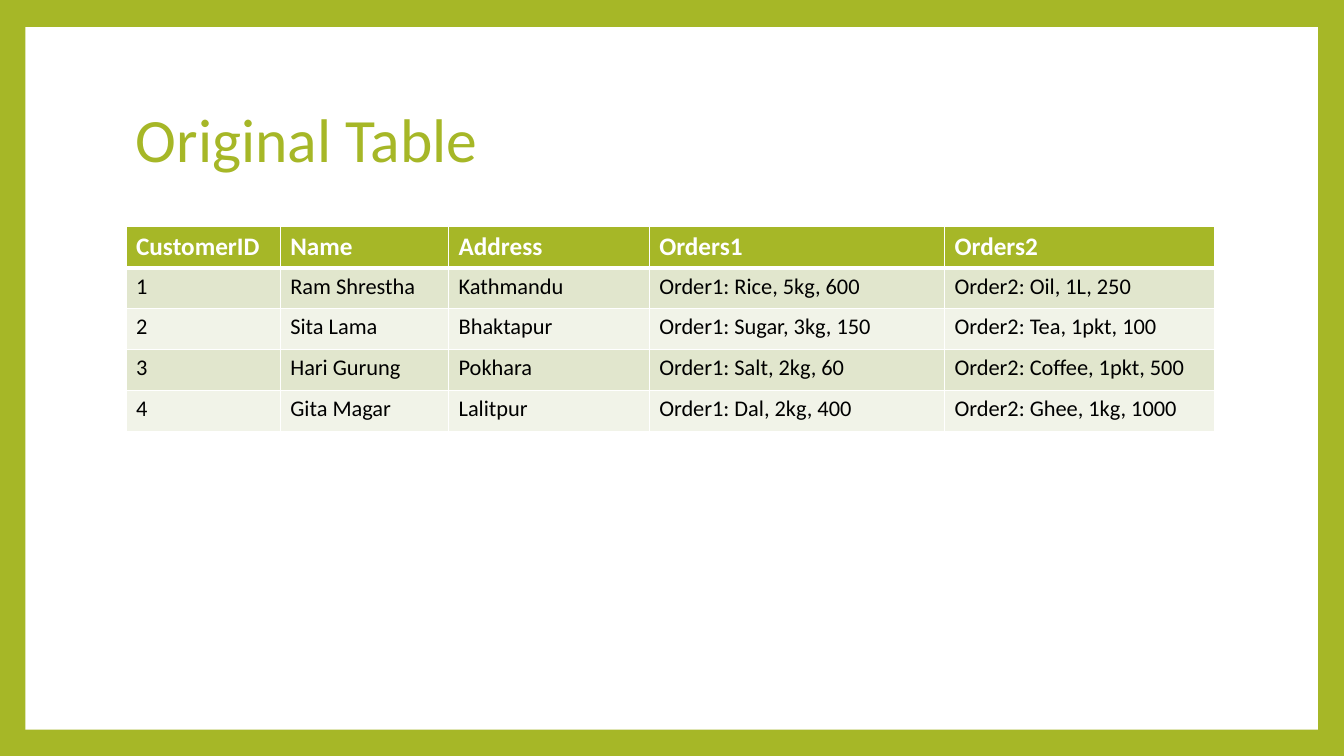
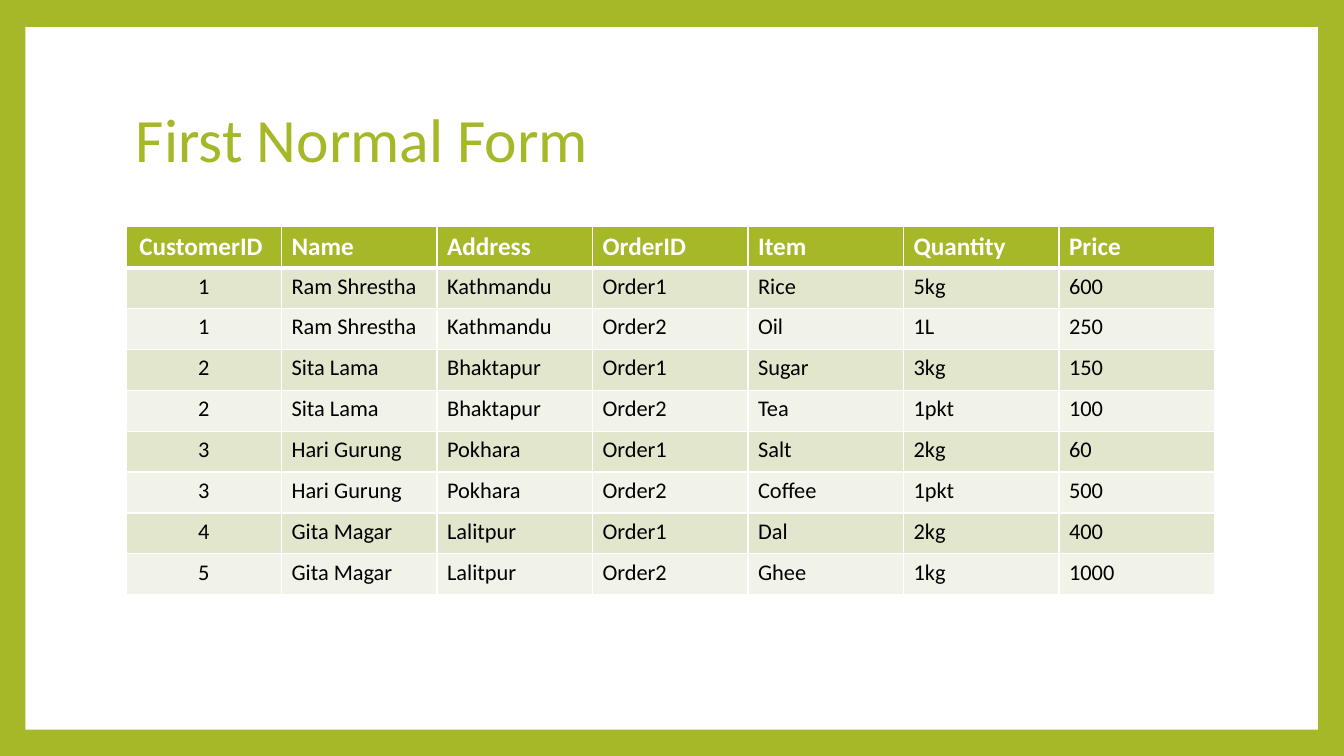
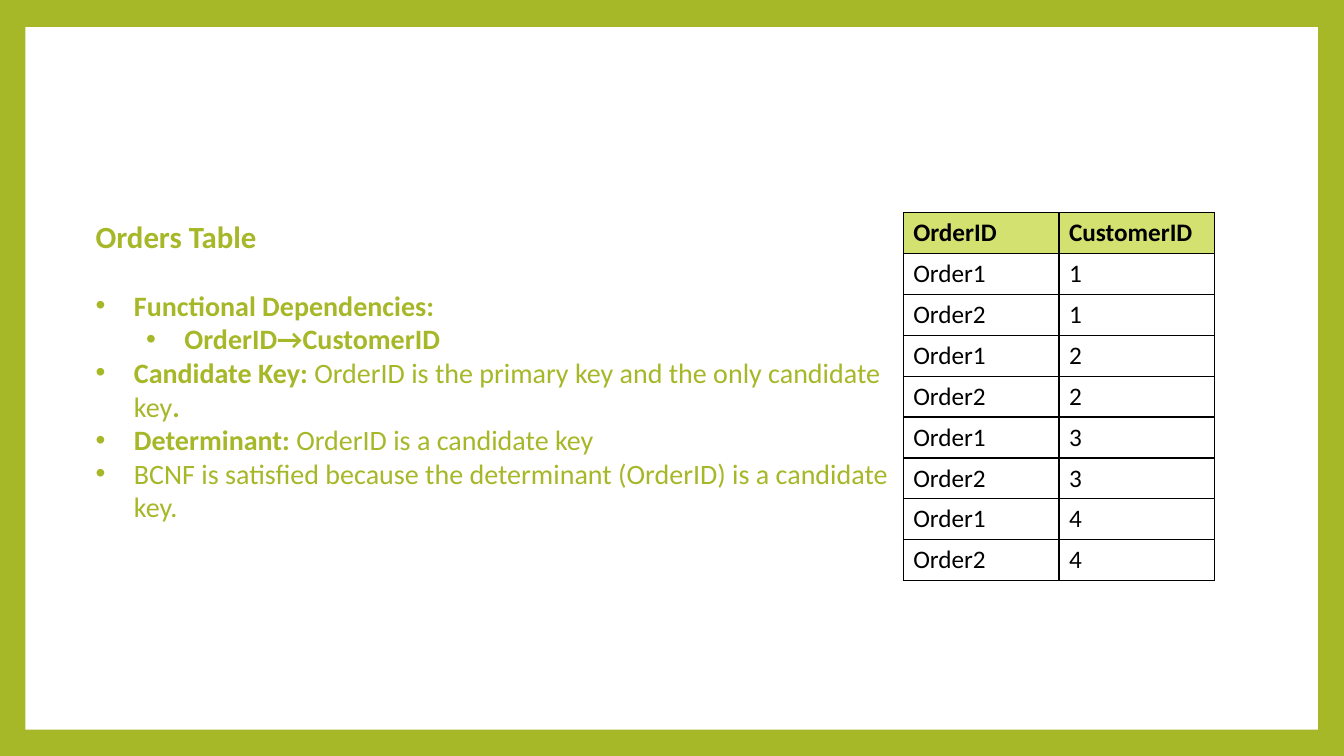
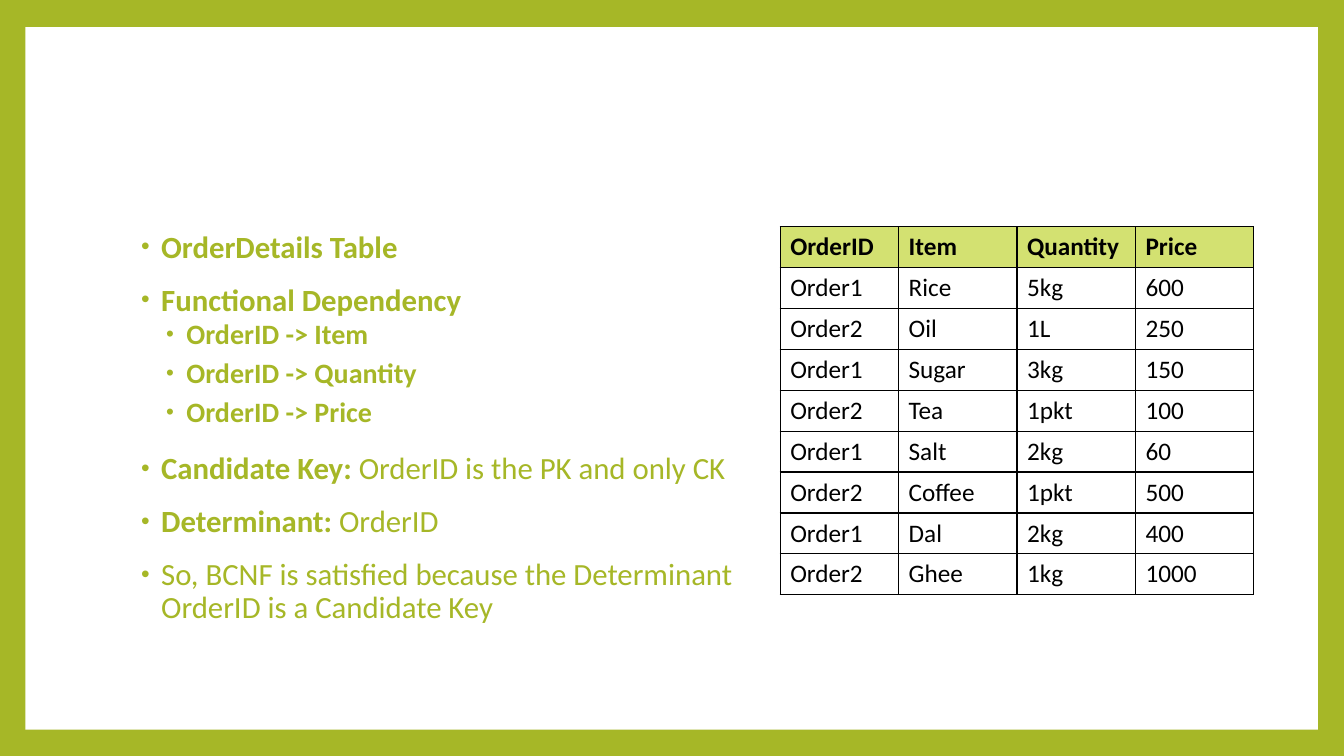
from lxml import etree
from pptx import Presentation
from pptx.dml.color import RGBColor
from pptx.enum.shapes import MSO_SHAPE
from pptx.enum.text import MSO_ANCHOR, PP_ALIGN
from pptx.oxml.ns import qn
from pptx.util import Emu, Inches, Pt

RECTANGLE = MSO_SHAPE.RECTANGLE
TOP, MIDDLE = MSO_ANCHOR.TOP, MSO_ANCHOR.MIDDLE
LEFT, CENTER = PP_ALIGN.LEFT, PP_ALIGN.CENTER

FONT = "Calibri"
COLORS = {
    "green": "A6B727",
    "lime": "D3E171",
    "band_dark": "E1E6CD",
    "band_light": "F1F3E8",
    "white": "FFFFFF",
    "black": "000000",
}

CUSTOMERS = [
    ("1", "Ram Shrestha", "Kathmandu"),
    ("2", "Sita Lama", "Bhaktapur"),
    ("3", "Hari Gurung", "Pokhara"),
    ("4", "Gita Magar", "Lalitpur"),
]
ORDERS = [
    ("Order1", "Rice", "5kg", "600"),
    ("Order2", "Oil", "1L", "250"),
    ("Order1", "Sugar", "3kg", "150"),
    ("Order2", "Tea", "1pkt", "100"),
    ("Order1", "Salt", "2kg", "60"),
    ("Order2", "Coffee", "1pkt", "500"),
    ("Order1", "Dal", "2kg", "400"),
    ("Order2", "Ghee", "1kg", "1000"),
]
ORDER_HEADER = ("OrderID", "Item", "Quantity", "Price")
FIRST_FORM_IDS = ["1", "1", "2", "2", "3", "3", "4", "5"]

MARGIN = 9.38
CONTENT_TOP = 30
CONTENT_WIDTH = 81
ROW_HEIGHT = 5.41


def color(name):
    return RGBColor.from_string(COLORS[name])


def write_text(frame, runs, size, ink="green", bold=False, align=LEFT, level=0,
               indent=None, bullet_size=100, line_spacing=None, before=0, after=0):
    paragraph = frame.paragraphs[0]
    if paragraph.runs:
        paragraph = frame.add_paragraph()
    paragraph.alignment = align
    paragraph.level = level
    paragraph.space_before = Pt(before)
    paragraph.space_after = Pt(after)
    if line_spacing:
        paragraph.line_spacing = line_spacing
    if indent:
        add_bullet(paragraph, indent, bullet_size, ink)
    for text, run_bold in [(runs, bold)] if isinstance(runs, str) else runs:
        run = paragraph.add_run()
        run.text = text
        run.font.name = FONT
        run.font.size = Pt(size)
        run.font.bold = run_bold
        run.font.color.rgb = color(ink)


def add_bullet(paragraph, indent, size, ink):
    margin, hanging = indent
    properties = paragraph._p.get_or_add_pPr()
    properties.set("marL", str(Inches(margin)))
    properties.set("indent", str(-Inches(hanging)))
    bullet_color = etree.SubElement(properties, qn("a:buClr"))
    etree.SubElement(bullet_color, qn("a:srgbClr"), val=COLORS[ink])
    etree.SubElement(properties, qn("a:buSzPct"), val=str(size * 1000))
    etree.SubElement(properties, qn("a:buFont"), typeface="Arial")
    etree.SubElement(properties, qn("a:buChar"), char="•")


def set_borders(cell, ink, top=1, bottom=1):
    properties = cell._tc.get_or_add_tcPr()
    for side, width in (("L", 1), ("R", 1), ("T", top), ("B", bottom)):
        line = etree.SubElement(properties, qn(f"a:ln{side}"), w=str(Pt(width)))
        fill = etree.SubElement(line, qn("a:solidFill"))
        etree.SubElement(fill, qn("a:srgbClr"), val=COLORS[ink])


class Deck:
    def __init__(self):
        self.presentation = Presentation()
        self.presentation.slide_width = Inches(13.33)
        self.presentation.slide_height = Inches(7.5)
        background = self.presentation.slide_master.background.fill
        background.solid()
        background.fore_color.rgb = color("green")
        self.slide = None

    def across(self, percent):
        return Emu(round(self.presentation.slide_width * percent / 100))

    def down(self, percent):
        return Emu(round(self.presentation.slide_height * percent / 100))

    def box(self, left, top, width, height):
        return self.across(left), self.down(top), self.across(width), self.down(height)

    def new_slide(self):
        layout = self.presentation.slide_layouts[6]
        self.slide = self.presentation.slides.add_slide(layout)
        panel = self.slide.shapes.add_shape(RECTANGLE, *self.box(1.88, 3.6, 96.17, 92.93))
        panel.shadow.inherit = False
        panel.fill.solid()
        panel.fill.fore_color.rgb = color("white")
        panel.line.fill.background()

    def text_box(self, left, top, width, height, anchor=TOP):
        frame = self.slide.shapes.add_textbox(*self.box(left, top, width, height)).text_frame
        frame.word_wrap = True
        frame.vertical_anchor = anchor
        return frame

    def title(self, text):
        frame = self.text_box(MARGIN, 8.93, CONTENT_WIDTH, 19.73, anchor=MIDDLE)
        write_text(frame, text, size=44, line_spacing=0.9)

    def table(self, rows, left, top, width, weights=None):
        weights = weights or [1] * len(rows[0])
        shape = self.slide.shapes.add_table(
            len(rows), len(weights), *self.box(left, top, width, ROW_HEIGHT * len(rows)))
        table = shape.table
        table.horz_banding = False
        for column, weight in zip(table.columns, weights):
            column.width = self.across(width * weight / sum(weights))
        return table

    def banded_table(self, rows, weights=None, centered_columns=()):
        table = self.table(rows, MARGIN, CONTENT_TOP, CONTENT_WIDTH, weights)
        for row_index, row in enumerate(rows):
            header = row_index == 0
            band = "green" if header else "band_dark" if row_index % 2 else "band_light"
            for column_index, text in enumerate(row):
                cell = table.cell(row_index, column_index)
                set_borders(cell, "white", top=3 if row_index == 1 else 1,
                            bottom=3 if header else 1)
                cell.fill.solid()
                cell.fill.fore_color.rgb = color(band)
                write_text(cell.text_frame, text, size=18 if header else 16,
                           ink="white" if header else "black", bold=header,
                           align=CENTER if column_index in centered_columns else LEFT)

    def outlined_table(self, rows, left, top, width):
        table = self.table(rows, left, top, width)
        for row_index, row in enumerate(rows):
            header = row_index == 0
            for column_index, text in enumerate(row):
                cell = table.cell(row_index, column_index)
                cell.vertical_anchor = MIDDLE
                set_borders(cell, "black")
                if header:
                    cell.fill.solid()
                    cell.fill.fore_color.rgb = color("lime")
                else:
                    cell.fill.background()
                write_text(cell.text_frame, text, size=18, ink="black", bold=header)


def original_table(deck):
    deck.new_slide()
    deck.title("Original Table")
    details = ["{}: {}, {}, {}".format(*order) for order in ORDERS]
    rows = [("CustomerID", "Name", "Address", "Orders1", "Orders2")]
    rows += [customer + pair
             for customer, pair in zip(CUSTOMERS, zip(details[::2], details[1::2]))]
    deck.banded_table(rows, weights=[1.53, 1.67, 1.99, 2.93, 2.68])


def first_normal_form(deck):
    deck.new_slide()
    deck.title("First Normal Form")
    rows = [("CustomerID ", "Name", "Address") + ORDER_HEADER]
    for index, (customer_id, order) in enumerate(zip(FIRST_FORM_IDS, ORDERS)):
        rows.append((customer_id,) + CUSTOMERS[index // 2][1:] + order)
    deck.banded_table(rows, centered_columns=(0,))


def orders_table(deck):
    deck.new_slide()
    rows = [("OrderID", "CustomerID")]
    rows += [(order[0], CUSTOMERS[index // 2][0]) for index, order in enumerate(ORDERS)]
    deck.outlined_table(rows, 67.2, 28.13, 23.18)
    frame = deck.text_box(6.38, 28.13, 60.82, 42.67)
    write_text(frame, "Orders Table", size=22, bold=True, after=24)
    points = [
        (0, [("Functional Dependencies:", True)]),
        (1, [("OrderID→CustomerID", True)]),
        (0, [("Candidate Key: ", True),
             ("OrderID is the primary key and the only candidate key", False),
             (".", True)]),
        (0, [("Determinant: ", True), ("OrderID is a candidate key", False)]),
        (0, [("BCNF is satisfied because the determinant (OrderID) is a candidate key.",
              False)]),
    ]
    for level, runs in points:
        write_text(frame, runs, size=20, level=level, indent=(0.38 + 0.5 * level, 0.38))


def order_details_table(deck):
    deck.new_slide()
    frame = deck.text_box(MARGIN, CONTENT_TOP, 48.67, 58.93)
    points = [
        (0, [("OrderDetails Table", True)]),
        (0, [("Functional Dependency", True)]),
        (1, [("OrderID -> Item", True)]),
        (1, [("OrderID -> Quantity", True)]),
        (1, [("OrderID -> Price", True)]),
        (0, [("Candidate Key: ", True), ("OrderID is the PK and only CK", False)]),
        (0, [("Determinant: ", True), ("OrderID", False)]),
        (0, [("So, BCNF is satisfied because the Determinant OrderID is a Candidate Key",
              False)]),
    ]
    level_formats = [
        {"size": 22, "indent": (0.25, 0.2), "before": 14},
        {"size": 20, "indent": (0.5, 0.2), "before": 2, "after": 4},
    ]
    for level, runs in points:
        write_text(frame, runs, level=level, bullet_size=80, line_spacing=0.9,
                   **level_formats[level])
    deck.outlined_table([ORDER_HEADER] + ORDERS, 58.05, CONTENT_TOP, 35.25)


def main():
    deck = Deck()
    for build_slide in (original_table, first_normal_form, orders_table, order_details_table):
        build_slide(deck)
    deck.presentation.save("out.pptx")


if __name__ == "__main__":
    main()
